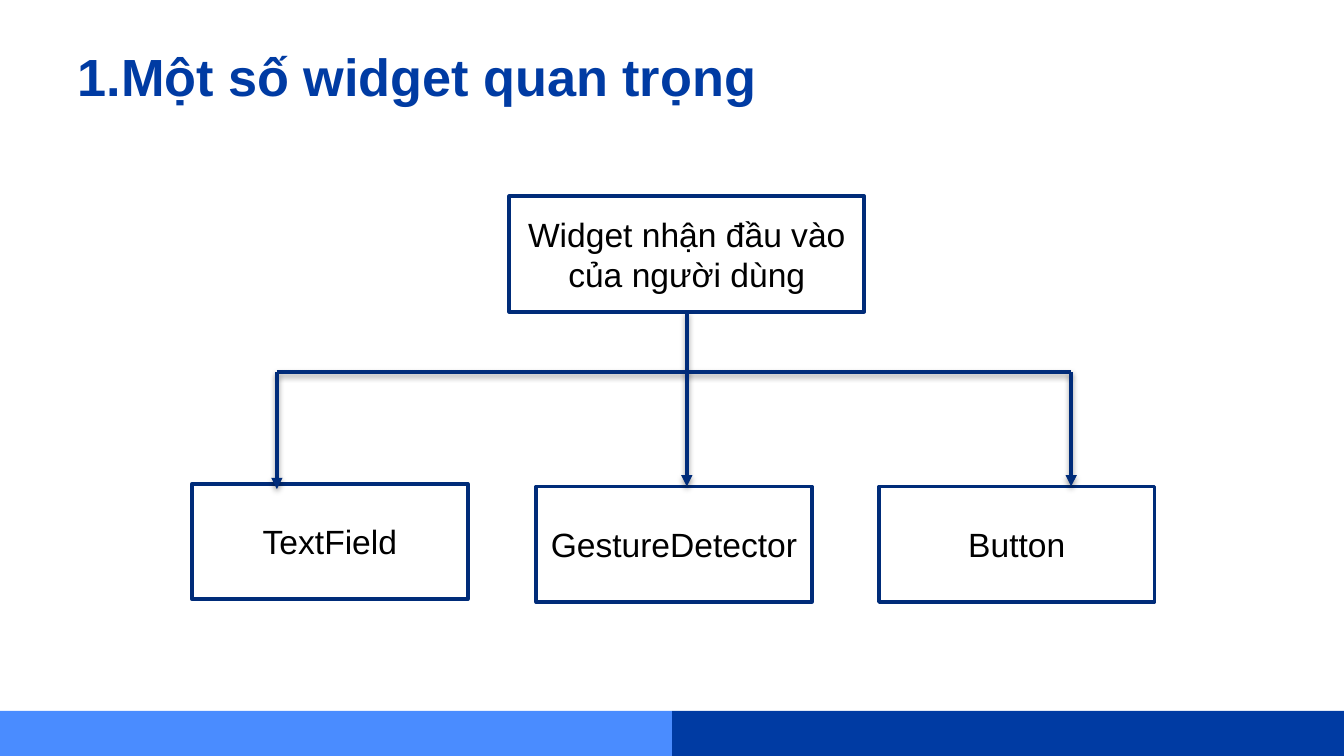
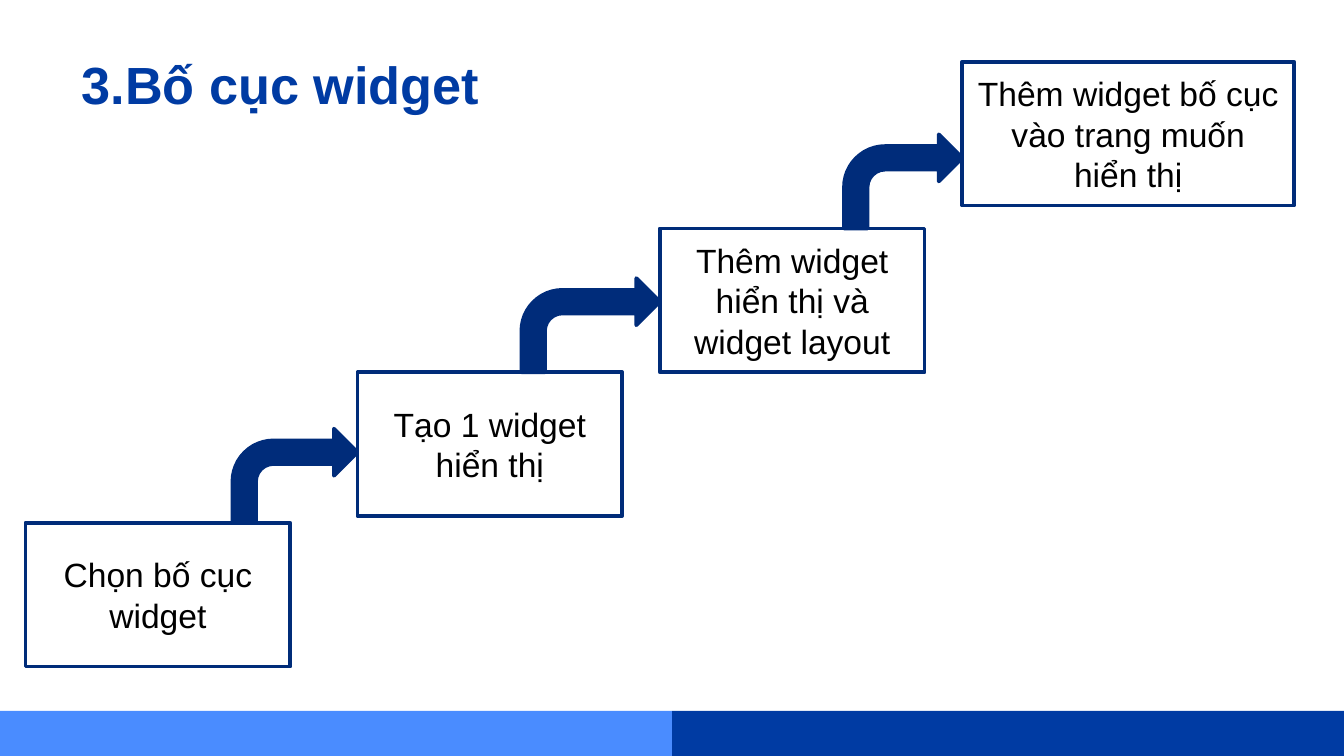
from dataclasses import dataclass

from lxml.etree import SubElement
from pptx import Presentation
from pptx.dml.color import RGBColor
from pptx.enum.shapes import MSO_CONNECTOR, MSO_SHAPE
from pptx.enum.text import MSO_ANCHOR, PP_ALIGN
from pptx.oxml.ns import qn
from pptx.shapes.autoshape import Shape
from pptx.shapes.connector import Connector
from pptx.slide import Slide
from pptx.util import Inches, Pt

COLORS = {
    "title": "003BA3",
    "band_left": "4A8CFF",
    "band_right": "003BA3",
    "outline": "002C79",
    "arrow": "002C7A",
    "white": "FFFFFF",
    "text": "000000",
    "shadow": "000000",
}
FONT = "Arial"
LINE_WIDTH = Pt(2)


@dataclass(frozen=True)
class Frame:
    left: float
    top: float
    width: float
    height: float


@dataclass(frozen=True)
class Box:
    text: str
    frame: Frame


@dataclass(frozen=True)
class Link:
    start: tuple[float, float]
    end: tuple[float, float]
    arrow: bool = False


BANDS = {
    "band_right": Frame(5, 5.29, 5, 0.34),
    "band_left": Frame(0, 5.29, 5, 0.34),
}

INPUT_ROOT = Box("Widget nhận đầu vào\ncủa người dùng", Frame(3.79, 1.46, 2.64, 0.86))
INPUT_WIDGETS = [
    Box(name, Frame(left, top, 2.05, 0.86))
    for name, left, top in [
        ("TextField", 1.43, 3.6),
        ("GestureDetector", 3.99, 3.62),
        ("Button", 6.54, 3.62),
    ]
]
ROOT_X, BUS_Y = 5.11, 2.77
BRANCH_ENDS = [(2.06, 3.64), (ROOT_X, 3.62), (7.97, 3.62)]

STEP_HEIGHT = 1.07
LAYOUT_STEPS = [
    Box(text, Frame(left, top, width, STEP_HEIGHT))
    for text, left, top, width in [
        ("Chọn bố cục widget", 0.19, 3.89, 1.97),
        ("Tạo 1 widget hiển thị", 2.66, 2.77, 1.97),
        ("Thêm widget hiển thị và widget layout", 4.91, 1.7, 1.97),
        ("Thêm widget bố cục vào trang muốn hiển thị", 7.16, 0.46, 2.47),
    ]
]
STEP_ARROW_WIDTHS = [0.93, 1.03, 0.88]
STEP_ARROW_HEIGHT = 0.7


def color(key: str) -> RGBColor:
    return RGBColor.from_string(COLORS[key])


def inches(frame: Frame) -> tuple[Inches, Inches, Inches, Inches]:
    return (
        Inches(frame.left),
        Inches(frame.top),
        Inches(frame.width),
        Inches(frame.height),
    )


def add_preset(
    slide: Slide, preset: MSO_SHAPE, frame: Frame, fill: str | None, outline: str | None
) -> Shape:
    """Add a shape without shadow; None means no fill or no outline."""
    shape = slide.shapes.add_shape(preset, *inches(frame))
    shape.shadow.inherit = False
    if fill:
        shape.fill.solid()
        shape.fill.fore_color.rgb = color(fill)
    else:
        shape.fill.background()
    if outline:
        shape.line.color.rgb = color(outline)
        shape.line.width = LINE_WIDTH
    else:
        shape.line.fill.background()
    return shape


def add_box(slide: Slide, box: Box, fill: str | None = None) -> Shape:
    shape = add_preset(slide, MSO_SHAPE.RECTANGLE, box.frame, fill, "outline")
    frame = shape.text_frame
    frame.word_wrap = True
    frame.vertical_anchor = MSO_ANCHOR.MIDDLE
    frame.text = box.text
    for paragraph in frame.paragraphs:
        paragraph.alignment = PP_ALIGN.CENTER
        paragraph.font.name = FONT
        paragraph.font.size = Pt(18)
        paragraph.font.color.rgb = color("text")
    return shape


def add_link(slide: Slide, link: Link) -> Connector:
    connector = slide.shapes.add_connector(
        MSO_CONNECTOR.STRAIGHT, *map(Inches, link.start + link.end)
    )
    connector.line.color.rgb = color("arrow")
    connector.line.width = LINE_WIDTH
    properties = connector._element.spPr
    if link.arrow:
        SubElement(properties.find(qn("a:ln")), qn("a:tailEnd"), type="triangle")
    effects = SubElement(properties, qn("a:effectLst"))
    shadow = SubElement(
        effects,
        qn("a:outerShdw"),
        blurRad=str(Pt(3.1)),
        dist=str(Pt(1.6)),
        dir="5400000",
        rotWithShape="0",
    )
    tint = SubElement(shadow, qn("a:srgbClr"), val=COLORS["shadow"])
    SubElement(tint, qn("a:alpha"), val="38000")
    return connector


def add_titled_slide(deck: Presentation, title: str, frame: Frame) -> Slide:
    """Add a blank-layout slide with the shared bands and title style."""
    slide = deck.slides.add_slide(deck.slide_layouts[6])
    for band, band_frame in BANDS.items():
        add_preset(slide, MSO_SHAPE.RECTANGLE, band_frame, band, None)
    text_frame = slide.shapes.add_textbox(*inches(frame)).text_frame
    text_frame.word_wrap = True
    text_frame.margin_top = text_frame.margin_bottom = Inches(0.1)
    text_frame.text = title
    font = text_frame.paragraphs[0].font
    font.name, font.size, font.bold = FONT, Pt(28), True
    font.color.rgb = color("title")
    return slide


def build_input_widgets(deck: Presentation) -> None:
    slide = add_titled_slide(
        deck, "1.Một số widget quan trọng", Frame(0.48, 0.23, 8.43, 0.63)
    )
    root = add_box(slide, INPUT_ROOT, "white")
    for widget in INPUT_WIDGETS:
        add_box(slide, widget, "white")

    trunk = add_link(slide, Link((ROOT_X, 2.32), (ROOT_X, BUS_Y)))
    trunk.begin_connect(root, 2)
    add_link(slide, Link((BRANCH_ENDS[0][0], BUS_Y), (BRANCH_ENDS[-1][0], BUS_Y)))
    for end in BRANCH_ENDS:
        add_link(slide, Link((end[0], BUS_Y), end, arrow=True))


def build_layout_steps(deck: Presentation) -> None:
    slide = add_titled_slide(deck, "3.Bố cục widget", Frame(0.51, 0.29, 4.5, 0.63))
    for step in LAYOUT_STEPS:
        add_box(slide, step)
    # Each arrow rises from the top of one step to the left side of the next.
    for step, following, width in zip(LAYOUT_STEPS, LAYOUT_STEPS[1:], STEP_ARROW_WIDTHS):
        frame = Frame(
            following.frame.left - width,
            step.frame.top - STEP_ARROW_HEIGHT,
            width,
            STEP_ARROW_HEIGHT,
        )
        add_preset(slide, MSO_SHAPE.BENT_ARROW, frame, "arrow", "arrow")


def main() -> None:
    deck = Presentation()
    deck.slide_width, deck.slide_height = Inches(10), Inches(5.625)
    build_input_widgets(deck)
    build_layout_steps(deck)
    deck.save("out.pptx")


if __name__ == "__main__":
    main()
